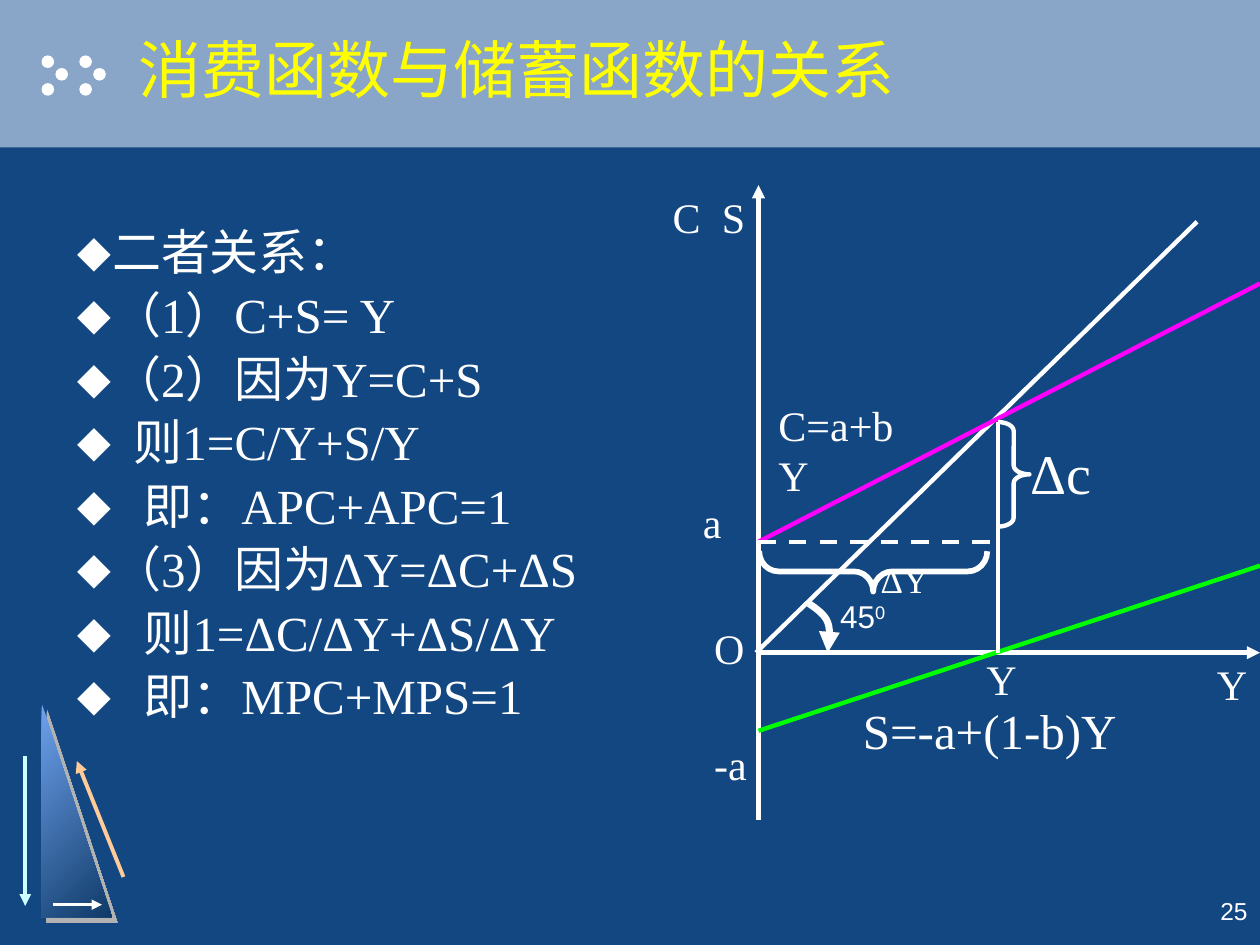
from dataclasses import dataclass

import pptx
import pptx.util
import pptx.dml.color
import pptx.enum.dml
import pptx.enum.shapes
import pptx.enum.text
import pptx.oxml
import pptx.oxml.ns

Inches, Pt = pptx.util.Inches, pptx.util.Pt
Shape = pptx.enum.shapes.MSO_SHAPE
Align = pptx.enum.text.PP_ALIGN
HUES = {
    "back": "134781", "band": "89A5C7", "white": "FFFFFF", "title": "FFFF00",
    "consume": "FF00FF", "save": "00FF00", "aqua": "CCFFFF", "peach": "FFCC99",
    "light": "6FA2ED", "dark": "0F3A68", "shade": "B2B2B2", "black": "000000",
}
SERIF = "Times New Roman"


@dataclass
class Stroke:
    start: tuple
    end: tuple
    hue: str = "white"
    width: float = 2.5
    arrow: bool = False
    dash: bool = False


@dataclass
class Label:
    text: str
    box: tuple
    size: float = 24
    font: str = SERIF
    align: Align = Align.LEFT
    sup: str = ""


@dataclass
class Point:
    text: str
    gap: float = 0.28


STROKES = [
    Stroke((0.2, 6), (0.2, 7.19), "aqua", 2.25, True),
    Stroke((0.98, 6.96), (0.61, 6.04), "peach", 2.25, True),
    Stroke((0.42, 7.18), (0.81, 7.18), "white", 1.5, True),
    Stroke((6.02, 6.51), (6.02, 1.47), arrow=True),
    Stroke((6, 5.18), (10, 5.18), arrow=True),
    Stroke((6, 5.18), (9.5, 1.76)),
    Stroke((6.02, 5.8), (10, 4.49), "save"),
    Stroke((7.92, 5.18), (7.92, 3.35)),
    Stroke((6.02, 4.3), (10, 2.25), "consume"),
    Stroke((6.02, 4.3), (7.94, 4.3), dash=True),
]
LABELS = [
    Label("a", (5.48, 3.89, 0.35, 0.5)),
    Label("-a", (5.57, 5.81, 0.46, 0.5)),
    Label("C", (5.24, 1.47, 0.42, 0.5)),
    Label("S", (5.63, 1.47, 0.39, 0.5)),
    Label("Y", (9.56, 5.18, 0.44, 0.5)),
    Label("ΔY", (6.89, 4.38, 1.09, 0.43), 20),
    Label("Δc", (8.08, 3.43, 0.84, 0.63), 32),
    Label("C=a+bY", (6.08, 3.12, 1.35, 0.5)),
    Label("S=-a+(1-b)Y", (6.75, 5.51, 2.22, 0.57), 28),
    Label("Y", (7.73, 5.14, 0.44, 0.5)),
    Label("O", (5.57, 4.89, 0.44, 0.5)),
    Label("45", (6.57, 4.69, 0.57, 0.4), 18, "Arial", sup="0"),
    Label("25", (7.45, 7.06, 2.55, 0.4), 14, "Arial", Align.RIGHT),
]
POINTS = [
    Point("二者关系："),
    Point("（1）C+S= Y"),
    Point("（2）因为Y=C+S"),
    Point("则1=C/Y+S/Y", 0.45),
    Point("即：APC+APC=1", 0.53),
    Point("（3）因为ΔY=ΔC+ΔS"),
    Point("则1=ΔC/ΔY+ΔS/ΔY", 0.53),
    Point("即：MPC+MPS=1", 0.53),
]


def color(name: str):
    return pptx.dml.color.RGBColor.from_string(HUES[name])


def apply(item, **values) -> None:
    for key, value in values.items():
        setattr(item, key, value)


def place(shape, box: tuple) -> None:
    keys = ("left", "top", "width", "height")
    apply(shape, **{key: Inches(n) for key, n in zip(keys, box)})


def style(font, size: float, name: str = SERIF, hue: str = "white") -> None:
    apply(font, size=Pt(size), name=name)
    font.color.rgb = color(hue)


def node(tag: str, body: str = "", **attrs):
    """Make a DrawingML element."""
    space = pptx.oxml.ns.nsdecls("a")
    pairs = " ".join(f'{key}="{value}"' for key, value in attrs.items())
    return pptx.oxml.parse_xml(f"<a:{tag} {space} {pairs}>{body}</a:{tag}>")


def shadow(hue: str, dist: float):
    fill = f'<a:srgbClr val="{HUES[hue]}"/>'
    cast = (f'<a:outerShdw dist="{Pt(dist)}" dir="2700000" algn="ctr" '
            f'rotWithShape="0">{fill}</a:outerShdw>')
    return node("effectLst", cast)


def tip(line) -> None:
    line._get_or_add_ln().append(node("tailEnd", type="triangle"))


def draw_stroke(shapes, item: Stroke) -> None:
    ends = [Inches(n) for n in item.start + item.end]
    link = shapes.add_connector(pptx.enum.shapes.MSO_CONNECTOR.STRAIGHT, *ends)
    link.line.color.rgb = color(item.hue)
    link.line.width = Pt(item.width)
    if item.dash:
        link.line.dash_style = pptx.enum.dml.MSO_LINE.DASH
    if item.arrow:
        tip(link.line)
    link._element.spPr.append(node("effectLst"))


def draw_label(shapes, item: Label) -> None:
    box = shapes.add_textbox(*[Inches(n) for n in item.box])
    box.text_frame.word_wrap = item.align == Align.RIGHT
    para = box.text_frame.paragraphs[0]
    para.alignment = item.align
    for text in filter(None, (item.text, item.sup)):
        run = para.add_run()
        run.text = text
        style(run.font, item.size, item.font)
    if item.sup:
        run._r.get_or_add_rPr().set("baseline", "30000")


def draw_solid(shapes, kind: Shape, box: tuple, hue: str):
    shape = shapes.add_shape(kind, *[Inches(n) for n in box])
    shape.shadow.inherit = False
    shape.fill.solid()
    shape.fill.fore_color.rgb = color(hue)
    shape.line.fill.background()
    return shape


def outline(shape, width: float) -> None:
    shape.shadow.inherit = False
    shape.fill.background()
    shape.line.color.rgb = color("white")
    shape.line.width = Pt(width)


def draw_brace(shapes, kind: Shape, box: tuple, bend: float, width: float, turn: int = 0) -> None:
    brace = shapes.add_shape(kind, *[Inches(n) for n in box])
    brace.adjustments[0] = bend
    brace.rotation = turn
    outline(brace, width)


def draw_arc(shapes) -> None:
    """Draw the curved arrow that marks the angle."""
    curves = [((6.42, 4.79), (6.48, 4.83), (6.55, 4.88), (6.57, 4.94)),
              ((6.57, 4.94), (6.6, 5.01), (6.57, 5.14), (6.57, 5.18))]
    steps = 8
    dots = []
    for curve in curves:
        for t in (n / steps for n in range(1, steps + 1)):
            parts = ((1 - t) ** 3, 3 * t * (1 - t) ** 2, 3 * t * t * (1 - t), t ** 3)
            dots.append(tuple(Inches(sum(w * p[axis] for w, p in zip(parts, curve)))
                              for axis in (0, 1)))
    pen = shapes.build_freeform(*[Inches(n) for n in curves[0][0]])
    pen.add_line_segments(dots, close=False)
    arc = pen.convert_to_shape()
    outline(arc, 4)
    tip(arc.line)


def draw_decor(shapes) -> None:
    draw_solid(shapes, Shape.RECTANGLE, (0, 0, 10, 1.17), "band")
    group = shapes.add_group_shape()
    for left in (0.33, 0.63):
        for dx, top in ((0, 0.44), (0.11, 0.54), (0, 0.66)):
            draw_solid(group.shapes, Shape.OVAL, (left + dx, top, 0.1, 0.1), "white")
    wedge = draw_solid(shapes, Shape.RIGHT_TRIANGLE, (0.33, 5.58, 0.56, 1.7), "light")
    wedge.fill.gradient()
    wedge.fill.gradient_angle = 315
    for stop, hue, spot in zip(wedge.fill.gradient_stops, ("light", "dark"), (0, 1)):
        stop.color.rgb = color(hue)
        stop.position = spot
    props = wedge._element.spPr
    props.remove(props.find(pptx.oxml.ns.qn("a:effectLst")))
    props.append(shadow("shade", 4.2))


def fill_title(title) -> None:
    place(title, (1, 0, 9, 1.08))
    frame = title.text_frame
    frame.text = "消费函数与储蓄函数的关系"
    apply(frame, vertical_anchor=pptx.enum.text.MSO_ANCHOR.MIDDLE,
          auto_size=pptx.enum.text.MSO_AUTO_SIZE.NONE)
    para = frame.paragraphs[0]
    para.alignment = Align.LEFT
    font = para.runs[0].font
    style(font, 36, hue="title")
    font.fill._xPr.find(pptx.oxml.ns.qn("a:solidFill")).addnext(shadow("black", 2))


def fill_body(body) -> None:
    place(body, (0.51, 1.76, 4.63, 4.52))
    frame = body.text_frame
    apply(frame, word_wrap=False, auto_size=pptx.enum.text.MSO_AUTO_SIZE.NONE)
    for n, item in enumerate(POINTS):
        para = frame.add_paragraph() if n else frame.paragraphs[0]
        props = para._p.get_or_add_pPr()
        apply(para, line_spacing=0.9, space_before=Pt(6 if n else 0))
        props.set("marL", str(Inches(item.gap)))
        props.set("indent", str(-Inches(item.gap)))
        props.append(node("buClr", f'<a:srgbClr val="{HUES["white"]}"/>'))
        props.append(node("buChar", char="⬥"))
        run = para.add_run()
        run.text = item.text
        style(run.font, 28)


def main() -> None:
    deck = pptx.Presentation()
    apply(deck, slide_width=Inches(10), slide_height=Inches(7.5))
    slide = deck.slides.add_slide(deck.slide_layouts[1])
    slide.background.fill.solid()
    slide.background.fill.fore_color.rgb = color("back")
    shapes = slide.shapes
    title, body = shapes.title, slide.placeholders[1]
    draw_decor(shapes)
    for stroke in STROKES:
        draw_stroke(shapes, stroke)
    for label in LABELS:
        draw_label(shapes, label)
    draw_brace(shapes, Shape.RIGHT_BRACE, (7.92, 3.35, 0.25, 0.83), 0.28, 2.5)
    draw_brace(shapes, Shape.LEFT_BRACE, (6.77, 3.63, 0.32, 1.81), 0.48, 3.25, 270)
    draw_arc(shapes)
    fill_title(title)
    fill_body(body)
    for holder in (title, body):
        holder._element.getparent().append(holder._element)
    deck.save("out.pptx")


if __name__ == "__main__":
    main()
